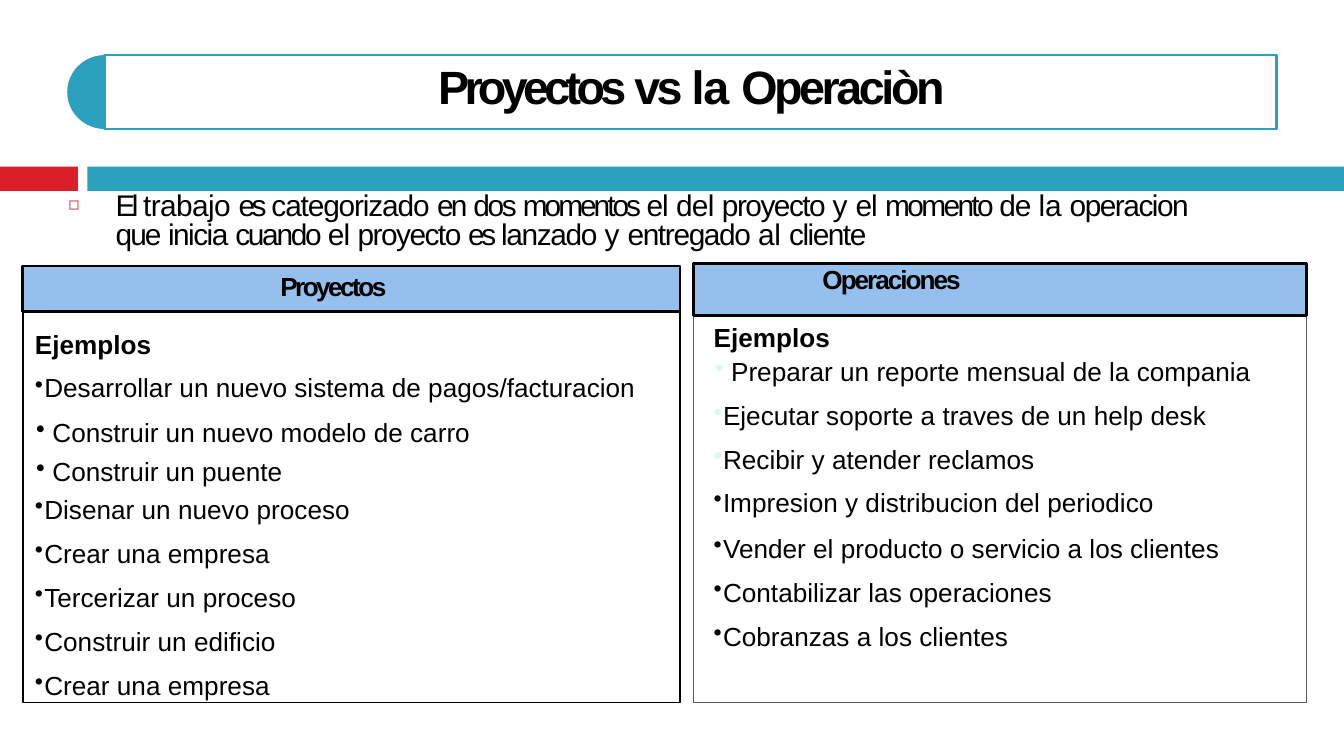
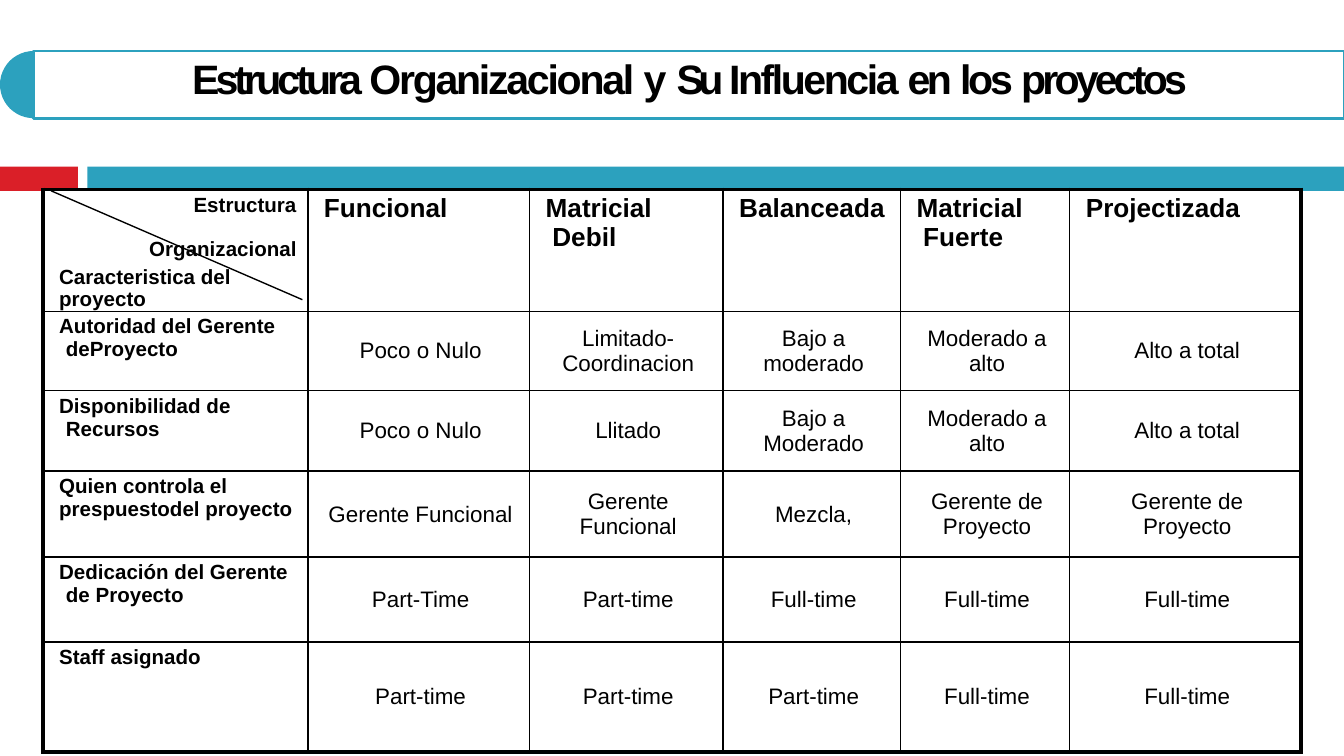
from collections import namedtuple
from math import cos, pi, sin

from lxml.etree import SubElement
from pptx import Presentation
from pptx.dml.color import RGBColor
from pptx.enum.shapes import MSO_CONNECTOR as Connector, MSO_SHAPE as Shape
from pptx.enum.text import MSO_ANCHOR as Anchor, MSO_AUTO_SIZE as AutoSize, PP_ALIGN as Align
from pptx.oxml.ns import qn
from pptx.util import Inches, Pt

BLACK = RGBColor(0x00, 0x00, 0x00)
RED = RGBColor(0xDA, 0x1F, 0x28)
TEAL = RGBColor(0x2C, 0xA1, 0xBE)
SKY = RGBColor(0x95, 0xC0, 0xED)
PALE = RGBColor(0xDE, 0xF5, 0xF9)
GRAY = RGBColor(0x58, 0x58, 0x58)
FONT = "Arial"

Item = namedtuple("Item", "text before indent size colour", defaults=(0, 0.08, 93, BLACK))
Block = namedtuple("Block", "left top width height inset items")

PROJECT_TITLE = [("Proyectos ", -2.5), ("vs ", -2), ("la ", -0.6), ("Operaciòn", -1.8)]
STRUCTURE_TITLE = [
    ("Estructura ", -2.1), ("Organizacional ", -1.2), ("y ", -0.6), ("Su ", -3),
    ("Influencia ", -1.3), ("en ", -1.8), ("los ", -1.7), ("proyectos", -2),
]
INTRO = [
    ("El ", -1.9), ("trabajo ", -0.3), ("es ", -1.8), ("categorizado ", -0.6), ("en ", -1.4),
    ("dos ", -1.2), ("momentos ", -1.6), ("el ", -0.5), ("del ", -0.4), ("proyecto ", -0.8),
    ("y ", -0.1), ("el ", -0.5), ("momento ", -1.4), ("de ", -0.6), ("la ", -0.1),
    ("operacion ", -0.8), ("que ", -1), ("inicia ", -0.8), ("cuando ", -1.2), ("el ", -0.5),
    ("proyecto ", -0.8), ("es ", -1.8), ("lanzado ", -0.7), ("y ", -0.1), ("entregado ", -0.7),
    ("al ", -0.1), ("cliente", -0.8),
]
PROJECT_BLOCKS = [
    Block(0.25, 2.4, 4.64, 0.61, 0.04, [
        Item("Ejemplos", indent=0),
        Item("Desarrollar un nuevo sistema de pagos/facturacion", 6.7),
    ]),
    Block(0.25, 3.09, 3.4, 0.26, 0.01, [Item("Construir un nuevo modelo de carro", 0, 0.14, 100)]),
    Block(0.25, 3.38, 2, 0.26, 0.01, [Item("Construir un puente", 0, 0.14, 100)]),
    Block(0.25, 3.56, 2.5, 1.66, 0.11, [
        Item("Disenar un nuevo proceso"),
        Item("Crear una empresa", 6.7),
        Item("Tercerizar un proceso", 6.8),
        Item("Construir un edificio", 6.8),
        Item("Crear una empresa", 6.7),
    ]),
]
OPERATION_BLOCKS = [
    Block(5.3, 2.35, 4.2, 1.2, 0.04, [
        Item("Ejemplos", indent=0),
        Item("Preparar un reporte mensual de la compania", 1.7, 0.14, 100, PALE),
        Item("Ejecutar soporte a traves de un help desk", 6.8, 0.08, 100, PALE),
        Item("Recibir y atender reclamos", 6.7, 0.08, 100, PALE),
    ]),
    Block(5.3, 3.61, 3.4, 0.26, 0.01, [Item("Impresion y distribucion del periodico")]),
    Block(5.3, 3.85, 4, 1.01, 0.11, [
        Item("Vender el producto o servicio a los clientes"),
        Item("Contabilizar las operaciones", 6.8),
        Item("Cobranzas a los clientes", 6.8),
    ]),
]
COLUMN_WIDTHS = [1.97, 1.65, 1.44, 1.32, 1.26, 1.72]
ROW_HEIGHTS = [0.84, 0.59, 0.6, 0.64, 0.63, 0.82]
STRUCTURES = ["Funcional", "Matricial\nDebil", "Balanceada", "Matricial\nFuerte", "Projectizada"]
FEATURES = [
    ["Autoridad del Gerente\ndeProyecto", "Poco o Nulo", "Limitado-\nCoordinacion",
     "Bajo a\nmoderado", "Moderado a\nalto", "Alto a total"],
    ["Disponibilidad de\nRecursos", "Poco o Nulo", "Llitado",
     "Bajo a\nModerado", "Moderado a\nalto", "Alto a total"],
    ["Quien controla el prespuestodel proyecto", "Gerente Funcional", "Gerente\nFuncional",
     "Mezcla,", "Gerente de\nProyecto", "Gerente de\nProyecto"],
    ["Dedicación del Gerente\nde Proyecto", "Part-Time", "Part-time",
     "Full-time", "Full-time", "Full-time"],
    ["Staff asignado", "Part-time", "Part-time", "Part-time", "Full-time", "Full-time"],
]


def add_spans(para, pieces, size, bold=False):
    for text, spacing in pieces:
        for index, line in enumerate(text.split("\n")):
            if index:
                para.add_line_break()
            span = para.add_run()
            span.text = line
            span.font.name = FONT
            span.font.size = Pt(size)
            span.font.bold = bold
            span.font.color.rgb = BLACK
            if spacing:
                span.font._element.set("spc", str(round(spacing * 100)))


def set_indent(para, left, first=0):
    props = para._p.get_or_add_pPr()
    props.set("marL", str(Inches(left)))
    props.set("indent", str(Inches(first)))


def add_bullet(para, symbol, left, first, colour, size):
    set_indent(para, left, first)
    props = para._p.get_or_add_pPr()
    SubElement(SubElement(props, qn("a:buClr")), qn("a:srgbClr")).set("val", str(colour))
    SubElement(props, qn("a:buSzPct")).set("val", str(size * 1000))
    SubElement(props, qn("a:buChar")).set("char", symbol)
    tabs = SubElement(props, qn("a:tabLst"))
    tab = SubElement(tabs, qn("a:tab"))
    tab.set("pos", str(Inches(left)))
    tab.set("algn", "l")


def prepare_frame(box, top=0, right=0):
    frame = box.text_frame
    frame.word_wrap = True
    frame.auto_size = AutoSize.NONE
    frame.vertical_anchor = Anchor.TOP
    frame.margin_left = frame.margin_bottom = 0
    frame.margin_top = Inches(top)
    frame.margin_right = Inches(right)
    para = frame.paragraphs[0]
    para.alignment = Align.LEFT
    para.space_before = Pt(0)
    return frame


def place(box, left, top, width, height):
    box.left, box.top = Inches(left), Inches(top)
    box.width, box.height = Inches(width), Inches(height)


def paint(box, fill=None, line=None, weight=0.75):
    box.shadow.inherit = False
    if fill is None:
        box.fill.background()
    else:
        box.fill.solid()
        box.fill.fore_color.rgb = fill
    if line is None:
        box.line.fill.background()
    else:
        box.line.color.rgb = line
        box.line.width = Pt(weight)


def add_rectangle(page, left, top, width, height, **style):
    box = page.shapes.add_shape(
        Shape.RECTANGLE, Inches(left), Inches(top), Inches(width), Inches(height))
    paint(box, **style)
    return box


def add_bands(page):
    add_rectangle(page, 0, 1.24, 0.58, 0.18, fill=RED)
    add_rectangle(page, 0.65, 1.24, 9.35, 0.18, fill=TEAL)


def add_half_disc(page, right, top, width, height):
    angles = [pi / 2 + pi * step / 24 for step in range(25)]
    points = [
        (Inches(right + width * cos(angle)), Inches(top + height / 2 * (1 - sin(angle))))
        for angle in angles
    ]
    builder = page.shapes.build_freeform(*points[0])
    builder.add_line_segments(points[1:], close=True)
    paint(builder.convert_to_shape(), fill=TEAL)


def add_title(page, pieces, left, top, width, height, disc, indent, size):
    add_half_disc(page, left, top, disc, height)
    title = page.shapes.title
    place(title, left, top, width, height)
    title.line.color.rgb = TEAL
    title.line.width = Pt(1.5)
    para = prepare_frame(title, 0.02).paragraphs[0]
    set_indent(para, indent)
    add_spans(para, pieces, size, True)


def add_intro(page, left, top, width, height):
    body = page.placeholders[1]
    place(body, left, top, width, height)
    para = prepare_frame(body, 0.07, 0.2).paragraphs[0]
    add_bullet(para, "◻", 0.36, -0.35, RED, 59)
    para.line_spacing = 0.8
    add_spans(para, INTRO, 16)


def add_block(page, block):
    box = page.shapes.add_textbox(
        Inches(block.left), Inches(block.top), Inches(block.width), Inches(block.height))
    frame = prepare_frame(box, block.inset)
    for index, item in enumerate(block.items):
        para = frame.add_paragraph() if index else frame.paragraphs[0]
        if item.indent:
            first = -0.07 if item.indent < 0.1 else -0.12
            add_bullet(para, "•", item.indent, first, item.colour, item.size)
        else:
            set_indent(para, 0.01)
        para.space_before = Pt(item.before)
        add_spans(para, [(item.text, 0)], 14, not item.indent)


def add_panel(page, left, width, edge, heading, spacing, header, insets, indent, blocks):
    add_rectangle(page, left, 2.23, width, 3, line=edge)
    for block in blocks:
        add_block(page, block)
    header_top, header_height = header
    bar = add_rectangle(
        page, left, header_top, width, header_height, fill=SKY, line=BLACK, weight=1.5)
    para = prepare_frame(bar, *insets).paragraphs[0]
    if indent:
        set_indent(para, indent)
    else:
        para.alignment = Align.CENTER
    add_spans(para, [(heading, spacing)], 14, True)


def set_borders(cell, row, column):
    last_row, last_column = len(ROW_HEIGHTS) - 1, len(COLUMN_WIDTHS) - 1
    outer = {
        "a:lnL": column == 0, "a:lnR": column == last_column,
        "a:lnT": row == 0, "a:lnB": row == last_row,
    }
    props = cell._tc.get_or_add_tcPr()
    for tag, thick in outer.items():
        edge = SubElement(props, qn(tag))
        edge.set("w", str(Pt(2.25 if thick else 1)))
        SubElement(SubElement(edge, qn("a:solidFill")), qn("a:srgbClr")).set("val", str(BLACK))


def fill_corner(cell):
    frame = cell.text_frame
    lines = [("Estructura", 1.12, 0), ("Organizacional", 0.79, 11.5),
             ("Caracteristica del\nproyecto", 0.12, 2.6)]
    for index, (text, left, before) in enumerate(lines):
        para = frame.add_paragraph() if index else frame.paragraphs[0]
        set_indent(para, left)
        para.space_before = Pt(before)
        add_spans(para, [(text, 0)], 11, True)


def fill_cell(cell, text, row, column):
    para = cell.text_frame.paragraphs[0]
    if row and column:
        cell.vertical_anchor = Anchor.MIDDLE
        cell.margin_top = 0
        cell.margin_left = Inches(0.03)
        para.alignment = Align.CENTER
        add_spans(para, [(text, 0)], 12)
    else:
        hang = 0.05 if "\n" in text else 0
        set_indent(para, 0.12 + hang, -hang)
        add_spans(para, [(text, 0)], 11 if row else 14, True)


def add_structure_table(page, left, top):
    table = page.shapes.add_table(
        len(ROW_HEIGHTS), len(COLUMN_WIDTHS), Inches(left), Inches(top),
        Inches(sum(COLUMN_WIDTHS)), Inches(sum(ROW_HEIGHTS))).table
    table.first_row = table.horz_banding = False
    for column, width in zip(table.columns, COLUMN_WIDTHS):
        column.width = Inches(width)
    for row, height in zip(table.rows, ROW_HEIGHTS):
        row.height = Inches(height)
    for row, texts in enumerate([[None] + STRUCTURES] + FEATURES):
        for column, text in enumerate(texts):
            cell = table.cell(row, column)
            cell.margin_left = cell.margin_right = cell.margin_bottom = 0
            cell.margin_top = Inches(0.03)
            set_borders(cell, row, column)
            cell.fill.background()
            if text is None:
                fill_corner(cell)
            else:
                fill_cell(cell, text, row, column)
    diagonal = page.shapes.add_connector(
        Connector.STRAIGHT, Inches(left + 0.06), Inches(top + 0.01),
        Inches(left + 1.93), Inches(top + 0.82))
    diagonal.line.color.rgb = BLACK
    diagonal.line.width = Pt(0.75)
    SubElement(diagonal._element.spPr, qn("a:effectLst"))


def add_comparison_page(deck):
    page = deck.slides.add_slide(deck.slide_layouts[1])
    add_bands(page)
    add_title(page, PROJECT_TITLE, 0.78, 0.41, 8.72, 0.55, 0.28, 2.48, 25)
    add_intro(page, 0.5, 1.37, 8.7, 0.51)
    add_panel(page, 5.16, 4.56, GRAY, "Operaciones", -1.1, (1.96, 0.39), (0, 0), 0.96,
              OPERATION_BLOCKS)
    add_panel(page, 0.17, 4.89, BLACK, "Proyectos", -1.4, (1.98, 0.34), (0.03, 0.27), 0,
              PROJECT_BLOCKS)


def add_structure_page(deck):
    page = deck.slides.add_slide(deck.slide_layouts[5])
    add_bands(page)
    add_structure_table(page, 0.32, 1.41)
    add_title(page, STRUCTURE_TITLE, 0.25, 0.38, 9.75, 0.5, 0.25, 1.18, 22)


def main():
    deck = Presentation()
    deck.slide_width = Inches(10)
    deck.slide_height = deck.slide_width * 9 // 16
    add_comparison_page(deck)
    add_structure_page(deck)
    deck.save("out.pptx")


if __name__ == "__main__":
    main()
